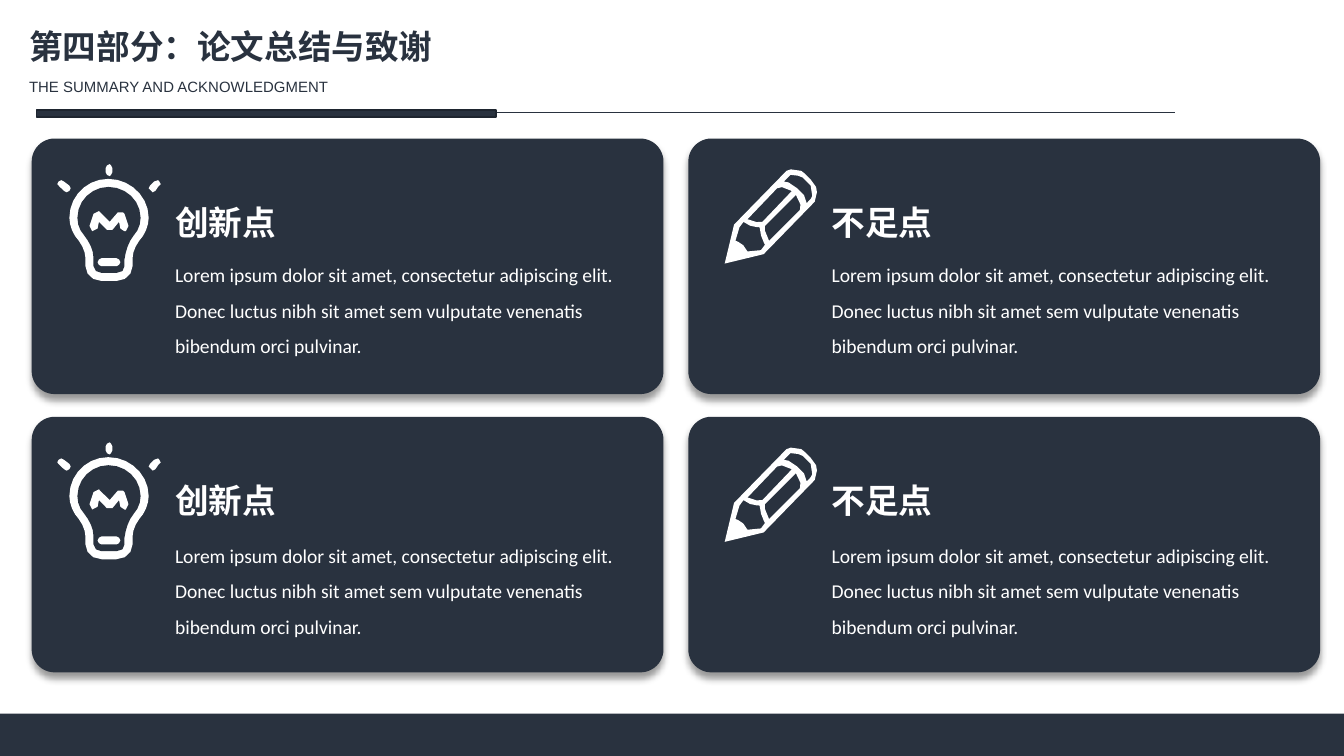
from math import ceil, dist

from lxml import etree
from pptx import Presentation
from pptx.dml.color import RGBColor
from pptx.enum.shapes import MSO_CONNECTOR, MSO_SHAPE
from pptx.enum.text import MSO_ANCHOR, MSO_AUTO_SIZE, PP_ALIGN
from pptx.oxml.ns import qn
from pptx.util import Cm, Pt

RECTANGLE = MSO_SHAPE.RECTANGLE
ROUNDED_RECTANGLE = MSO_SHAPE.ROUNDED_RECTANGLE
STRAIGHT = MSO_CONNECTOR.STRAIGHT
TOP = MSO_ANCHOR.TOP
LEFT = PP_ALIGN.LEFT
FIT_SHAPE = MSO_AUTO_SIZE.SHAPE_TO_FIT_TEXT

NAVY = RGBColor(0x29, 0x32, 0x3F)
DARK_NAVY = RGBColor(0x1E, 0x25, 0x2F)
WHITE = RGBColor(0xFF, 0xFF, 0xFF)

HEADING_FONT = "Noto Sans CJK SC"
TITLE_ONLY = 5
TITLE = "第四部分：论文总结与致谢"
SUBTITLE = "THE SUMMARY AND ACKNOWLEDGMENT"
BODY = (
    "Lorem ipsum dolor sit amet, consectetur adipiscing elit. Donec luctus nibh "
    "sit amet sem vulputate venenatis bibendum orci pulvinar."
)

CARD_WIDTH, CARD_HEIGHT = 11.94, 4.83
CARD_LEFTS = (0.6, 13.01)
CARD_ROWS = ((2.62, 2.01), (7.88, 2.06))  # card top, body offset in the card

# Icon contours, measured from the card corner in ICON_UNIT. Two numbers are
# a straight step, six numbers a Bezier curve with its two control points.
ICON_UNIT = Cm(0.0254)
CURVE_STEP = 6
BULB_OUTSIDE = [
    (63, 106), (52, 106), (45, 106, 40, 101, 40, 95), (40, 89),
    (40, 85, 38, 80, 35, 76), (31, 72, 28, 65, 28, 59),
    (28, 43, 41, 30, 57, 30), (73, 30, 87, 43, 87, 59),
    (87, 65, 84, 72, 80, 76), (77, 80, 75, 85, 75, 89), (75, 95),
    (75, 101, 70, 106, 63, 106),
]
BULB_INSIDE = [
    (57, 36), (45, 36, 34, 46, 34, 59), (34, 64, 36, 69, 39, 72),
    (43, 77, 46, 83, 46, 89), (46, 95), (46, 98, 49, 100, 52, 100),
    (63, 100), (67, 100, 69, 98, 69, 95), (69, 90),
    (70, 83, 72, 77, 76, 72), (79, 69, 81, 64, 81, 59),
    (81, 46, 70, 36, 57, 36),
]
BULB_FILAMENT = [
    (69, 69), (66, 67), (65, 62), (60, 68), (59, 69, 57, 69, 56, 68),
    (50, 62), (49, 67), (48, 68, 47, 69, 45, 69), (43, 65), (46, 56),
    (47, 55, 48, 54, 50, 54), (51, 55), (58, 62), (64, 55),
    (66, 54, 67, 54, 68, 55), (69, 56), (72, 65), (73, 66, 72, 68, 70, 69),
]
RIGHT_RAY = [
    (90, 40), (87, 37), (88, 35), (91, 32), (94, 31), (95, 32), (96, 34),
    (94, 36), (92, 39),
]
LEFT_RAY = [
    (26, 40), (24, 39), (21, 36), (19, 34), (20, 32), (22, 31), (24, 32),
    (28, 35), (29, 37), (28, 39),
]
TOP_RAY = [
    (58, 28), (56, 27), (55, 25), (55, 22), (56, 20), (58, 19), (59, 20),
    (60, 22), (60, 25), (59, 27),
]
BULB_BASE = [
    (63, 95), (52, 95), (50, 94), (49, 92), (50, 90), (52, 89), (63, 89),
    (65, 90), (66, 92), (65, 94),
]
PENCIL_OUTSIDE = [
    (95, 36), (92, 30, 84, 24, 84, 24), (78, 21, 73, 24, 73, 24), (34, 64),
    (27, 93), (56, 86), (94, 47), (97, 43, 95, 36, 95, 36),
]
PENCIL_UPPER_SIDE = [
    (66, 37), (66, 37, 72, 34, 77, 39), (55, 62), (55, 62, 47, 63, 44, 60),
]
PENCIL_TIP = [
    (54, 83), (44, 84), (42, 78, 35, 76, 35, 76), (38, 66), (41, 62),
    (45, 66, 53, 66, 53, 66), (53, 72, 57, 79, 57, 79),
]
PENCIL_LOWER_SIDE = [
    (83, 53), (60, 76), (56, 71, 57, 65, 57, 65), (80, 42),
    (85, 46, 83, 53, 83, 53),
]
PENCIL_ERASER = [
    (91, 45), (88, 48), (86, 42), (81, 37), (77, 32, 71, 32, 71, 32),
    (76, 27), (79, 26, 85, 29, 85, 29), (91, 35), (94, 42, 91, 45, 91, 45),
]

# Each icon is a list of layers: fill colour and contours.
BULB = [
    (WHITE, [BULB_OUTSIDE]),
    (NAVY, [BULB_INSIDE]),
    (WHITE, [BULB_FILAMENT, RIGHT_RAY, LEFT_RAY, TOP_RAY, BULB_BASE]),
]
PENCIL = [
    (WHITE, [PENCIL_OUTSIDE, PENCIL_UPPER_SIDE, PENCIL_TIP,
             PENCIL_LOWER_SIDE, PENCIL_ERASER]),
]
COLUMNS = (("创新点", BULB), ("不足点", PENCIL))


def paint(shape, fill, line=None):
    shape.shadow.inherit = False
    shape.fill.solid()
    shape.fill.fore_color.rgb = fill
    if line is None:
        shape.line.fill.background()
    else:
        shape.line.color.rgb = line
        shape.line.width = Pt(1)


def add_block(slide, kind, left, top, width, height, line=None):
    shape = slide.shapes.add_shape(kind, Cm(left), Cm(top), Cm(width), Cm(height))
    paint(shape, NAVY, line)
    return shape


def add_rule(slide, left, right, top):
    rule = slide.shapes.add_connector(STRAIGHT, Cm(left), Cm(top), Cm(right), Cm(top))
    rule.line.color.rgb = NAVY
    rule.line.width = Pt(0.5)
    etree.SubElement(rule._element.spPr, qn("a:effectLst"))


def add_drop_shadow(shape):
    effects = shape._element.spPr.find(qn("a:effectLst"))
    shadow = etree.SubElement(
        effects, qn("a:outerShdw"), blurRad=str(Pt(4)), dist=str(Pt(3)),
        dir="5400000", algn="t", rotWithShape="0",
    )
    color = etree.SubElement(shadow, qn("a:srgbClr"), val="000000")
    etree.SubElement(color, qn("a:alpha"), val="40000")


def write_text(shape, text, *, size, font, color, bold=False, wrap=False, spacing=1.0):
    frame = shape.text_frame
    frame.word_wrap = wrap
    frame.auto_size = FIT_SHAPE
    frame.vertical_anchor = TOP
    paragraph = frame.paragraphs[0]
    paragraph.alignment = LEFT
    paragraph.line_spacing = spacing
    run = paragraph.add_run()
    run.text = text
    run.font.size = Pt(size)
    run.font.bold = bold
    run.font.color.rgb = color
    run.font.name = font
    etree.SubElement(run._r.get_or_add_rPr(), qn("a:ea"), typeface=font)


def add_text(slide, text, left, top, width, height, **text_format):
    box = slide.shapes.add_textbox(Cm(left), Cm(top), Cm(width), Cm(height))
    write_text(box, text, **text_format)


def trace(contour):
    """Turn a contour into points in EMU, with more points on longer curves."""
    points = [contour[0]]
    for step in contour[1:]:
        start, end = points[-1], step[-2:]
        if len(step) == 6:
            count = ceil(dist(start, end) / CURVE_STEP)
            corners = (start, step[:2], step[2:4], end)
            for t in (index / count for index in range(1, count)):
                weights = ((1 - t) ** 3, 3 * t * (1 - t) ** 2, 3 * t * t * (1 - t), t ** 3)
                points.append(tuple(
                    sum(weight * corner[axis] for weight, corner in zip(weights, corners))
                    for axis in (0, 1)))
        points.append(end)
    return [(round(x * ICON_UNIT), round(y * ICON_UNIT)) for x, y in points]


def add_icon(slide, layers, left, top):
    for color, contours in layers:
        first, *others = [trace(contour) for contour in contours]
        builder = slide.shapes.build_freeform(*first[0])
        builder.add_line_segments(first[1:], close=True)
        for outline in others:
            builder.move_to(*outline[0])
            builder.add_line_segments(outline[1:], close=True)
        paint(builder.convert_to_shape(Cm(left), Cm(top)), color)


def add_card(slide, heading, icon, left, top, body_offset):
    card = add_block(slide, ROUNDED_RECTANGLE, left, top, CARD_WIDTH, CARD_HEIGHT)
    card.adjustments[0] = 0.09
    add_drop_shadow(card)
    add_icon(slide, icon, left, top)
    text_left = left + 2.46
    add_text(slide, heading, text_left, top + 1.07, 2.44, 1.02,
             size=18, font=HEADING_FONT, color=WHITE, bold=True)
    add_text(slide, BODY, text_left, top + body_offset, 9.63, 2.21,
             size=10.5, font="Calibri", color=WHITE, wrap=True, spacing=1.5)


def add_header(slide):
    add_rule(slide, 0.69, 22.2, 2.13)
    add_block(slide, RECTANGLE, 0.69, 2.08, 8.69, 0.13, DARK_NAVY)
    title = slide.shapes.title
    title.left, title.top, title.width, title.height = Cm(0.3), Cm(0.36), Cm(8.2), Cm(1.02)
    write_text(title, TITLE, size=18, font=HEADING_FONT, color=NAVY, bold=True)
    add_text(slide, SUBTITLE, 0.3, 1.35, 6.25, 0.61, size=8, font="Arial", color=NAVY)


def main():
    presentation = Presentation()
    presentation.slide_width, presentation.slide_height = Cm(25.4), Cm(14.29)
    slide = presentation.slides.add_slide(presentation.slide_layouts[TITLE_ONLY])
    add_block(slide, RECTANGLE, 0, 13.49, 25.4, 0.8)
    add_header(slide)
    for top, body_offset in CARD_ROWS:
        for left, (heading, icon) in zip(CARD_LEFTS, COLUMNS):
            add_card(slide, heading, icon, left, top, body_offset)
    presentation.save("out.pptx")


if __name__ == "__main__":
    main()
